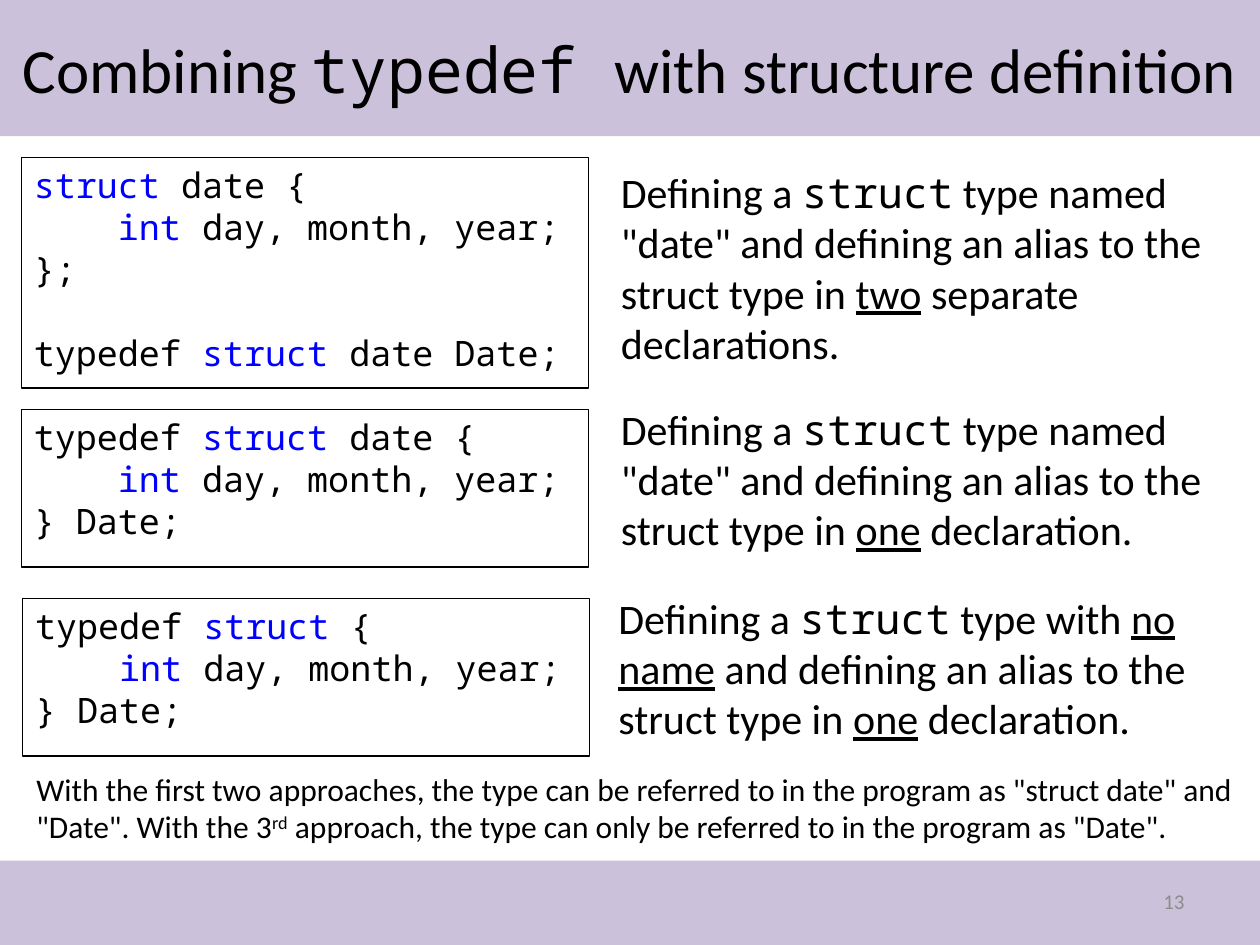
from dataclasses import dataclass

from pptx import Presentation
from pptx.dml.color import RGBColor
from pptx.enum.shapes import MSO_SHAPE
from pptx.enum.text import MSO_ANCHOR, MSO_AUTO_SIZE, PP_ALIGN
from pptx.util import Inches, Pt

RECTANGLE = MSO_SHAPE.RECTANGLE
TOP, MIDDLE = MSO_ANCHOR.TOP, MSO_ANCHOR.MIDDLE
LEFT, RIGHT = PP_ALIGN.LEFT, PP_ALIGN.RIGHT
NO_FIT = MSO_AUTO_SIZE.NONE

BLACK = RGBColor(0x00, 0x00, 0x00)
BLUE = RGBColor(0x00, 0x00, 0xFF)
GRAY = RGBColor(0x8C, 0x8C, 0x8C)
LAVENDER = RGBColor(0xCC, 0xC1, 0xDA)

BODY_FONT = "Calibri"
CODE_FONT = "Noto Sans Mono"
KEYWORDS = ("struct", "int")
CODE_SIZE, CODE_LINE_HEIGHT = 20, 24


@dataclass(frozen=True)
class Span:
    text: str
    font: str = BODY_FONT
    color: RGBColor = BLACK
    underline: bool = False
    baseline: int = 0


@dataclass(frozen=True)
class Box:
    left: float
    top: float
    width: float
    height: float

    def lengths(self) -> tuple:
        return tuple(Inches(n) for n in (self.left, self.top, self.width, self.height))


@dataclass(frozen=True)
class Approach:
    code: str
    code_box: Box
    note: tuple[Span, ...]
    note_box: Box


STRUCT = Span("struct", CODE_FONT)
NAMED = (
    Span("Defining a "), STRUCT,
    Span(' type named "date" and defining an alias to the struct type in '),
)
ONE_DECLARATION = (Span("one", underline=True), Span(" declaration."))

APPROACHES = (
    Approach(
        "struct date {\n    int day, month, year;\n};\n\ntypedef struct date Date;",
        Box(0.17, 1.25, 4.5, 1.83),
        NAMED + (Span("two", underline=True), Span(" separate declarations.")),
        Box(4.83, 1.27, 5, 1.82),
    ),
    Approach(
        "typedef struct date {\n    int day, month, year;\n} Date;",
        Box(0.17, 3.25, 4.5, 1.25),
        NAMED + ONE_DECLARATION,
        Box(4.83, 3.15, 5, 1.44),
    ),
    Approach(
        "typedef struct {\n    int day, month, year;\n} Date;",
        Box(0.18, 4.75, 4.5, 1.25),
        (
            Span("Defining a "), STRUCT, Span(" type with "),
            Span("no name", underline=True),
            Span(" and defining an alias to the struct type in "),
        ) + ONE_DECLARATION,
        Box(4.81, 4.65, 5, 1.44),
    ),
)

TITLE = (
    Span("Combining "), Span("typedef ", CODE_FONT), Span("with structure definition"),
)
SUMMARY = (
    Span(
        "With the first two approaches, the type can be referred to in the program "
        'as "struct date" and "Date". With the 3'
    ),
    Span("rd", baseline=30000),
    Span(' approach, the type can only be referred to in the program as "Date".'),
)


def add_spans(para, spans, *, size: float, align=LEFT) -> None:
    para.alignment = align
    for span in spans:
        run = para.add_run()
        run.text = span.text
        run.font.size = Pt(size)
        run.font.name = span.font
        run.font.color.rgb = span.color
        if span.underline:
            run.font.underline = True
        if span.baseline:
            run.font._element.set("baseline", str(span.baseline))


def prepare_frame(frame, anchor) -> None:
    frame.word_wrap = True
    frame.auto_size = NO_FIT
    frame.vertical_anchor = anchor


def add_text(slide, box: Box, spans, *, size: float, align=LEFT, anchor=TOP) -> None:
    frame = slide.shapes.add_textbox(*box.lengths()).text_frame
    prepare_frame(frame, anchor)
    add_spans(frame.paragraphs[0], spans, size=size, align=align)


def add_rectangle(slide, box: Box):
    shape = slide.shapes.add_shape(RECTANGLE, *box.lengths())
    shape.shadow.inherit = False
    return shape


def add_band(slide, box: Box) -> None:
    band = add_rectangle(slide, box)
    band.fill.solid()
    band.fill.fore_color.rgb = LAVENDER
    band.line.fill.background()


def highlight(line: str) -> list[Span]:
    """Split a line of code into spans, with the keywords in blue."""
    spans, plain = [], ""
    words = line.split(" ")
    for index, word in enumerate(words):
        if word in KEYWORDS:
            if plain:
                spans.append(Span(plain, CODE_FONT))
            spans.append(Span(word, CODE_FONT, BLUE))
            plain = ""
        else:
            plain += word
        if index < len(words) - 1:
            plain += " "
    if plain:
        spans.append(Span(plain, CODE_FONT))
    return spans


def add_code(slide, box: Box, code: str) -> None:
    """Draw framed code; a blank line becomes space before the next one."""
    shape = add_rectangle(slide, box)
    shape.fill.background()
    shape.line.color.rgb = BLACK
    shape.line.width = Pt(0.75)
    frame = shape.text_frame
    prepare_frame(frame, TOP)
    para, gap = frame.paragraphs[0], 0
    for line in code.split("\n"):
        if not line:
            gap += CODE_LINE_HEIGHT
            continue
        if para.runs:
            para = frame.add_paragraph()
        if gap:
            para.space_before = Pt(gap)
            gap = 0
        add_spans(para, highlight(line), size=CODE_SIZE)


def add_title(slide) -> None:
    title = slide.shapes.title
    title.left, title.top, title.width, title.height = Box(0.08, 0.08, 9.84, 0.92).lengths()
    prepare_frame(title.text_frame, MIDDLE)
    add_spans(title.text_frame.paragraphs[0], TITLE, size=36)
    # Bring the title in front of the header band.
    title.element.getparent().append(title.element)


def main() -> None:
    deck = Presentation()
    deck.slide_width, deck.slide_height = Inches(10), Inches(7.5)
    slide = deck.slides.add_slide(deck.slide_layouts[5])
    add_band(slide, Box(0, 0, 10, 1.08))
    add_band(slide, Box(0, 6.83, 10, 0.67))
    add_title(slide)
    add_text(slide, Box(7.17, 6.95, 2.33, 0.4), [Span("13", color=GRAY)],
             size=12, align=RIGHT, anchor=MIDDLE)
    for approach in APPROACHES:
        add_code(slide, approach.code_box, approach.code)
        add_text(slide, approach.note_box, approach.note, size=24)
    add_text(slide, Box(0.19, 6.06, 9.81, 0.7), SUMMARY, size=18)
    deck.save("out.pptx")


if __name__ == "__main__":
    main()
